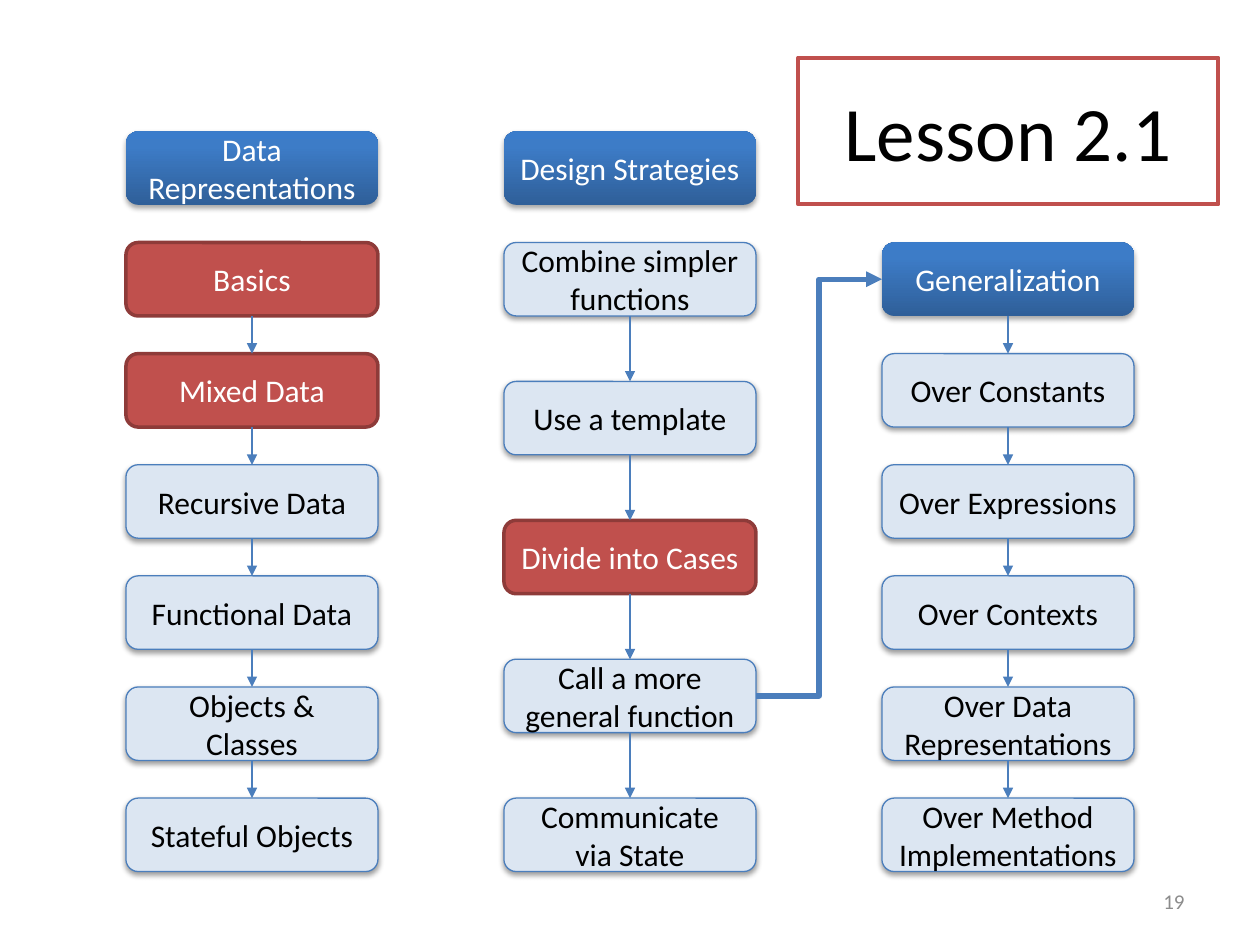
from copy import deepcopy
from dataclasses import dataclass

from lxml import etree
from pptx import Presentation
from pptx.dml.color import RGBColor
from pptx.enum.shapes import MSO_CONNECTOR, MSO_SHAPE
from pptx.enum.text import MSO_ANCHOR, MSO_AUTO_SIZE, PP_ALIGN
from pptx.oxml.ns import qn
from pptx.util import Cm, Pt

ROUNDED = MSO_SHAPE.ROUNDED_RECTANGLE
STRAIGHT, ELBOW = MSO_CONNECTOR.STRAIGHT, MSO_CONNECTOR.ELBOW
CENTER, RIGHT = PP_ALIGN.CENTER, PP_ALIGN.RIGHT
MIDDLE = MSO_ANCHOR.MIDDLE
NO_FIT = MSO_AUTO_SIZE.NONE
TOP_SIDE, LEFT_SIDE, BOTTOM_SIDE, RIGHT_SIDE = range(4)
TITLE_ONLY_LAYOUT = 5


@dataclass(frozen=True)
class Theme:
    """Colours, type sizes and line widths of the slide."""

    font: str = "Calibri"
    title_size: float = 44
    node_size: float = 18
    number_size: float = 12
    black: str = "000000"
    white: str = "FFFFFF"
    grey: str = "8C8C8C"
    blue: str = "4B7EBC"
    pale: str = "DCE6F2"
    red: str = "C0504D"
    dark_red: str = "8E3B39"
    gradient: tuple = ((0, "2F5F99"), (0.8, "3D7CC7"), (1, "3A7CCB"))
    thin: float = 0.75
    outline: float = 2
    title_outline: float = 2.25
    thick: float = 3


THEME = Theme()
NODE_WIDTH, NODE_HEIGHT = 5.08, 1.48
HEADER_TOP, COLUMN_TOP, COLUMN_HEIGHT = 2.65, 4.89, 12.68

STYLES = {
    "header": {"fill": THEME.gradient, "line": None, "text": THEME.white,
               "shadow": (23000, 35000)},
    "topic": {"fill": THEME.pale, "line": (THEME.blue, THEME.thin),
              "text": THEME.black, "shadow": (20000, 38000)},
    "covered": {"fill": THEME.red, "line": (THEME.dark_red, THEME.outline),
                "text": THEME.white, "shadow": None},
}

DATA_NODES = [
    ("Basics", "covered"),
    ("Mixed Data", "covered"),
    ("Recursive Data", "topic"),
    ("Functional Data", "topic"),
    ("Objects & Classes", "topic"),
    ("Stateful Objects", "topic"),
]
STRATEGY_NODES = [
    ("Combine simpler functions", "topic"),
    ("Use a template", "topic"),
    ("Divide into Cases", "covered"),
    ("Call a more general function", "topic"),
    ("Communicate via State", "topic"),
]
GENERALIZATION_NODES = [
    ("Generalization", "header"),
    ("Over Constants", "topic"),
    ("Over Expressions", "topic"),
    ("Over Contexts", "topic"),
    ("Over Data Representations", "topic"),
    ("Over Method Implementations", "topic"),
]


def rgb(value):
    """Turn a hex string into a colour."""
    return RGBColor.from_string(value)


def write_text(shape, text, size, color, alignment):
    """Put one formatted, vertically centred paragraph in a shape."""
    frame = shape.text_frame
    frame_format = {"word_wrap": True, "auto_size": NO_FIT,
                    "vertical_anchor": MIDDLE}
    for name, value in frame_format.items():
        setattr(frame, name, value)
    paragraph = frame.paragraphs[0]
    paragraph.text = text
    paragraph.alignment = alignment
    font = paragraph.runs[0].font
    for name, value in {"name": THEME.font, "size": Pt(size)}.items():
        setattr(font, name, value)
    font.color.rgb = rgb(color)


def set_line(line, color, width):
    """Colour a line and set its width in points."""
    line.color.rgb = rgb(color)
    line.width = Pt(width)


def fill_gradient(shape, stops):
    """Fill a shape with a gradient that rises from bottom to top."""
    shape.fill.gradient()
    shape.fill.gradient_angle = 90
    stop_list = shape.fill._xPr.find(".//" + qn("a:gsLst"))
    while len(stop_list) < len(stops):
        stop_list.append(deepcopy(stop_list[0]))
    for stop, (position, color) in zip(shape.fill.gradient_stops, stops):
        stop.position = position
        stop.color.rgb = rgb(color)


def add_drop_shadow(shape, distance, opacity):
    """Give a shape a soft shadow straight below it."""
    effects = shape._element.spPr.find(qn("a:effectLst"))
    shadow = etree.SubElement(
        effects, qn("a:outerShdw"), blurRad="40000", dist=str(distance),
        dir="5400000", rotWithShape="0")
    color = etree.SubElement(shadow, qn("a:srgbClr"), val=THEME.black)
    etree.SubElement(color, qn("a:alpha"), val=str(opacity))


def add_node(slide, left, top, text, style_name):
    """Add one rounded node of the map."""
    style = STYLES[style_name]
    shape = slide.shapes.add_shape(
        ROUNDED, Cm(left), Cm(top), Cm(NODE_WIDTH), Cm(NODE_HEIGHT))
    shape.shadow.inherit = False
    if style_name == "header":
        fill_gradient(shape, style["fill"])
    else:
        shape.fill.solid()
        shape.fill.fore_color.rgb = rgb(style["fill"])
    if style["line"]:
        set_line(shape.line, *style["line"])
    else:
        shape.line.fill.background()
    if style["shadow"]:
        add_drop_shadow(shape, *style["shadow"])
    write_text(shape, text, THEME.node_size, style["text"], CENTER)
    return shape


def join(slide, kind, start, start_side, end, end_side, width):
    """Join two nodes with an arrow."""
    connector = slide.shapes.add_connector(kind, 0, 0, 0, 0)
    connector.begin_connect(start, start_side)
    connector.end_connect(end, end_side)
    set_line(connector.line, THEME.blue, width)
    properties = connector._element.spPr
    etree.SubElement(properties.find(qn("a:ln")), qn("a:tailEnd"), type="triangle")
    etree.SubElement(properties, qn("a:effectLst"))


def add_column(slide, left, top, height, nodes):
    """Spread nodes evenly over a column and chain them with arrows."""
    pitch = (height - NODE_HEIGHT) / (len(nodes) - 1)
    shapes = [add_node(slide, left, top + row * pitch, *node)
              for row, node in enumerate(nodes)]
    for upper, lower in zip(shapes, shapes[1:]):
        join(slide, STRAIGHT, upper, BOTTOM_SIDE, lower, TOP_SIDE, THEME.thin)
    return shapes


def add_lesson_title(slide, left, top, width, height):
    """Place the title in a red rounded frame."""
    title = slide.shapes.title
    box = {"left": left, "top": top, "width": width, "height": height}
    for name, value in box.items():
        setattr(title, name, Cm(value))
    geometry = etree.SubElement(
        title._element.spPr, qn("a:prstGeom"), prst="roundRect")
    etree.SubElement(geometry, qn("a:avLst"))
    title.fill.background()
    set_line(title.line, THEME.red, THEME.title_outline)
    write_text(title, "Lesson 2.1", THEME.title_size, THEME.black, CENTER)


def add_slide_number(slide, left, top, width, height):
    """Write the slide number at the lower right."""
    box = slide.shapes.add_textbox(Cm(left), Cm(top), Cm(width), Cm(height))
    write_text(box, "19", THEME.number_size, THEME.grey, RIGHT)


def main():
    """Build the lesson map and save it."""
    presentation = Presentation()
    presentation.slide_width, presentation.slide_height = Cm(25.4), Cm(19.05)
    slide = presentation.slides.add_slide(
        presentation.slide_layouts[TITLE_ONLY_LAYOUT])
    add_lesson_title(slide, 16.09, 1.16, 8.47, 2.96)
    for left, text in ((2.54, "Data Representations"), (10.16, "Design Strategies")):
        add_node(slide, left, HEADER_TOP, text, "header")
    _, strategies, generalizations = [
        add_column(slide, left, COLUMN_TOP, COLUMN_HEIGHT, nodes)
        for left, nodes in ((2.54, DATA_NODES), (10.16, STRATEGY_NODES),
                            (17.78, GENERALIZATION_NODES))]
    join(slide, ELBOW, strategies[3], RIGHT_SIDE,
         generalizations[0], LEFT_SIDE, THEME.thick)
    add_slide_number(slide, 18.2, 17.66, 5.93, 1.01)
    presentation.save("out.pptx")


if __name__ == "__main__":
    main()
